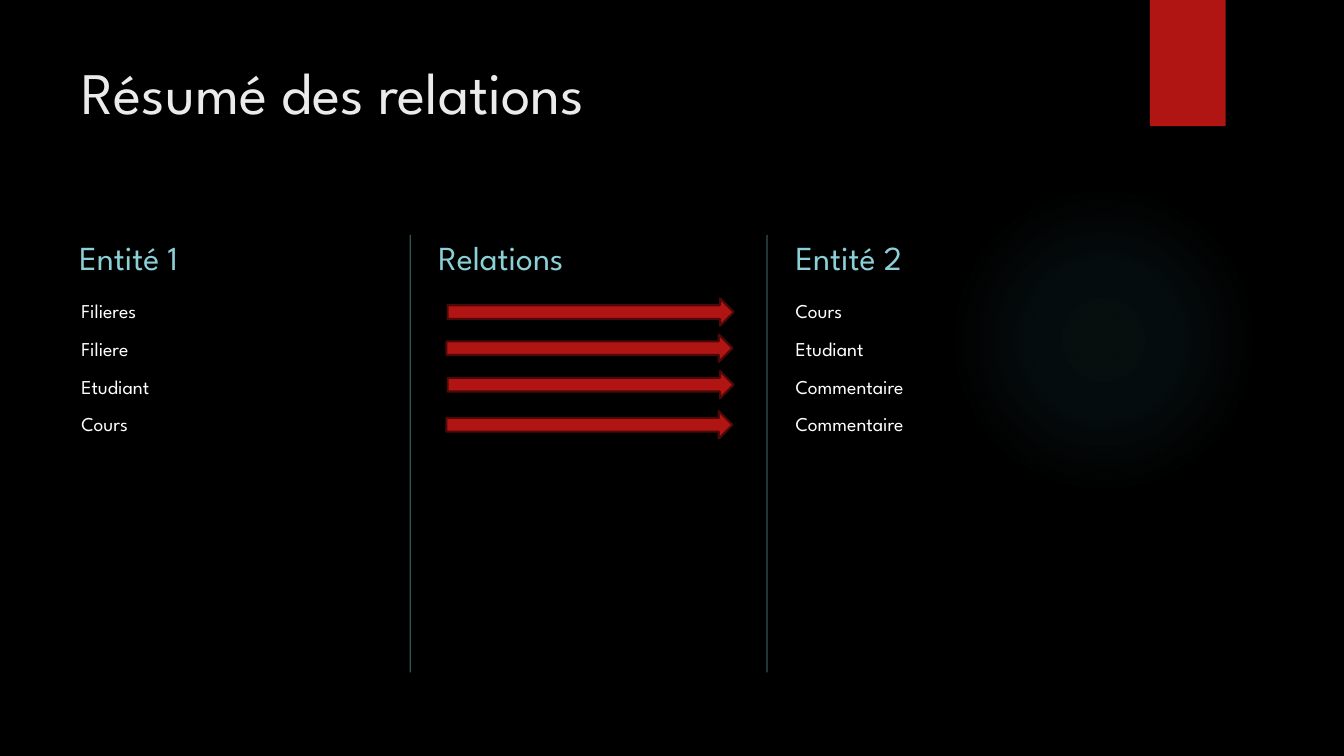
"""Build the slide that sums up the relations between entities."""
from dataclasses import dataclass

from lxml.etree import SubElement
from pptx import Presentation
from pptx.dml.color import RGBColor
from pptx.enum.shapes import MSO_CONNECTOR as Connector, MSO_SHAPE as Preset
from pptx.enum.text import MSO_ANCHOR as Anchor, MSO_AUTO_SIZE as AutoSize, PP_ALIGN as Align
from pptx.oxml import parse_xml
from pptx.oxml.ns import qn
from pptx.util import Cm, Pt

FONT = "League Spartan"
RED, DARK_RED, AQUA, TEAL = "B01513", "4D0908", "8AD0D6", "50B9C1"
DRAWING = "http://schemas.openxmlformats.org/drawingml/2006/main"


@dataclass(frozen=True)
class Frame:
    """Position and size in centimetres."""
    left: float
    top: float
    width: float
    height: float

    def lengths(self) -> tuple:
        """Return the four values as lengths."""
        return Cm(self.left), Cm(self.top), Cm(self.width), Cm(self.height)


@dataclass(frozen=True)
class Style:
    """Look of the text in a box."""
    size: float
    color: str
    anchor: Anchor = Anchor.TOP
    space: float = 0


@dataclass(frozen=True)
class Column:
    """A headed column of entities."""
    heading: str
    heading_left: float
    left: float
    entries: tuple = ()


TITLE = Style(42, "EBEBEB")
HEADING = Style(24, AQUA, Anchor.BOTTOM, 10)
ENTRY = Style(14, "FFFFFF", Anchor.TOP, 10)
COLUMNS = (
    Column("Entité 1", 1.75, 1.8, ("Filieres", "Filiere", "Etudiant", "Cours")),
    Column("Relations", 10.8, 10.8),
    Column("Entité 2", 19.8, 19.8, ("Cours", "Etudiant", "Commentaire", "Commentaire")),
)
DIVIDERS = (10.34, 19.33)
ARROWS = tuple(
    Frame(left, top, 7.21, 0.69)
    for left, top in ((11.28, 7.52), (11.25, 8.43), (11.28, 9.35), (11.25, 10.36))
)
GLOW_STOPS = ((0, 7), (36, 6), (69, 0))


def rgb(color: str) -> RGBColor:
    """Turn a hex string into a colour."""
    return RGBColor.from_string(color)


def assign(target, values: dict) -> None:
    """Set several attributes on an object."""
    for name, value in values.items():
        setattr(target, name, value)


def write(box, lines: tuple, style: Style) -> None:
    """Fill a box with one paragraph per line."""
    frame = box.text_frame
    frame.text = "\n".join(lines)
    assign(frame, {"word_wrap": True, "auto_size": AutoSize.NONE,
                   "vertical_anchor": style.anchor})
    for para in frame.paragraphs:
        assign(para, {"alignment": Align.LEFT, "space_before": Pt(style.space)})
        for span in para.runs:
            assign(span.font, {"name": FONT, "size": Pt(style.size)})
            span.font.color.rgb = rgb(style.color)


def add_text(page, frame: Frame, lines: tuple, style: Style) -> None:
    """Add a text box."""
    write(page.shapes.add_textbox(*frame.lengths()), lines, style)


def add_block(page, preset: Preset, frame: Frame, fill: str, line: str = ""):
    """Add a flat shape with an optional outline."""
    shape = page.shapes.add_shape(preset, *frame.lengths())
    shape.shadow.inherit = False
    shape.fill.solid()
    shape.fill.fore_color.rgb = rgb(fill)
    if line:
        shape.line.color.rgb = rgb(line)
        shape.line.width = Pt(1.5)
    else:
        shape.line.fill.background()
    return shape


def add_glow(page, frame: Frame) -> None:
    """Add a faint round glow that fades outwards."""
    shape = add_block(page, Preset.OVAL, frame, TEAL)
    stops = "".join(
        f'<a:gs pos="{place * 1000}"><a:srgbClr val="{TEAL}">'
        f'<a:alpha val="{opacity * 1000}"/></a:srgbClr></a:gs>'
        for place, opacity in GLOW_STOPS
    )
    gradient = parse_xml(
        f'<a:gradFill xmlns:a="{DRAWING}"><a:gsLst>{stops}</a:gsLst><a:path path="circle">'
        '<a:fillToRect l="50000" t="50000" r="50000" b="50000"/></a:path></a:gradFill>'
    )
    properties = shape.element.spPr
    properties.replace(properties.find(qn("a:solidFill")), gradient)


def add_divider(page, left: float) -> None:
    """Add a translucent vertical line between two columns."""
    divider = page.shapes.add_connector(
        Connector.STRAIGHT, Cm(left), Cm(5.92), Cm(left), Cm(16.94))
    divider.line.color.rgb = rgb(AQUA)
    divider.line.width = Pt(1)
    properties = divider.element.spPr
    color = next(properties.iter(qn("a:srgbClr")))
    SubElement(color, qn("a:alpha"), val="40000")
    SubElement(properties, qn("a:effectLst"))


def main() -> None:
    """Draw the slide and save it."""
    deck = Presentation()
    assign(deck, {"slide_width": Cm(33.87), "slide_height": Cm(19.05)})
    page = deck.slides.add_slide(deck.slide_layouts[5])
    page.background.fill.solid()
    page.background.fill.fore_color.rgb = rgb("000000")

    title = page.shapes.title
    assign(title, dict(zip(("left", "top", "width", "height"),
                           Frame(1.8, 1.27, 26.14, 3.89).lengths())))
    write(title, ("Résumé des relations",), TITLE)

    add_glow(page, Frame(23.9, 4.65, 7.82, 7.82))
    add_block(page, Preset.RECTANGLE, Frame(28.98, 0, 1.91, 3.18), RED)
    for left in DIVIDERS:
        add_divider(page, left)
    for column in COLUMNS:
        add_text(page, Frame(column.heading_left, 5.51, 8.15, 1.6), (column.heading,), HEADING)
        if column.entries:
            add_text(page, Frame(column.left, 7.42, 8.15, 9.98), column.entries, ENTRY)
    for frame in ARROWS:
        add_block(page, Preset.RIGHT_ARROW, frame, RED, DARK_RED)

    deck.save("out.pptx")


if __name__ == "__main__":
    main()
